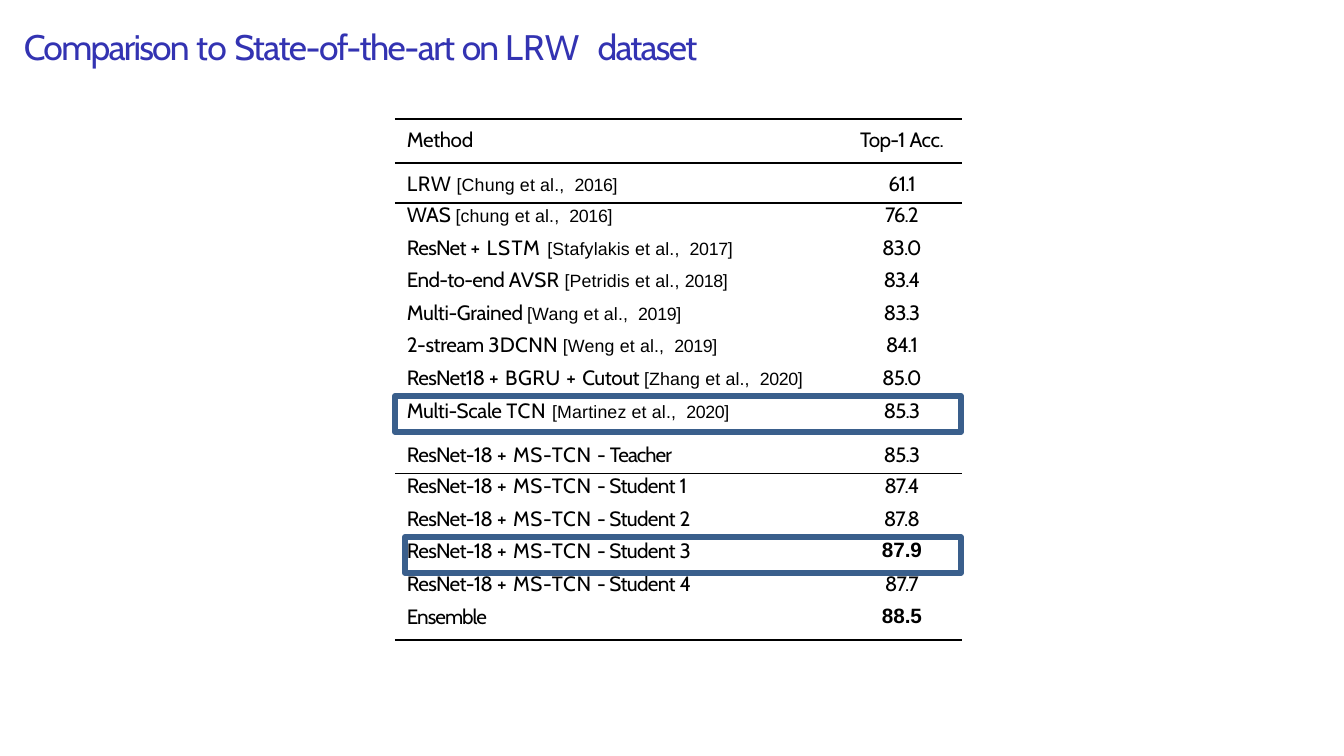
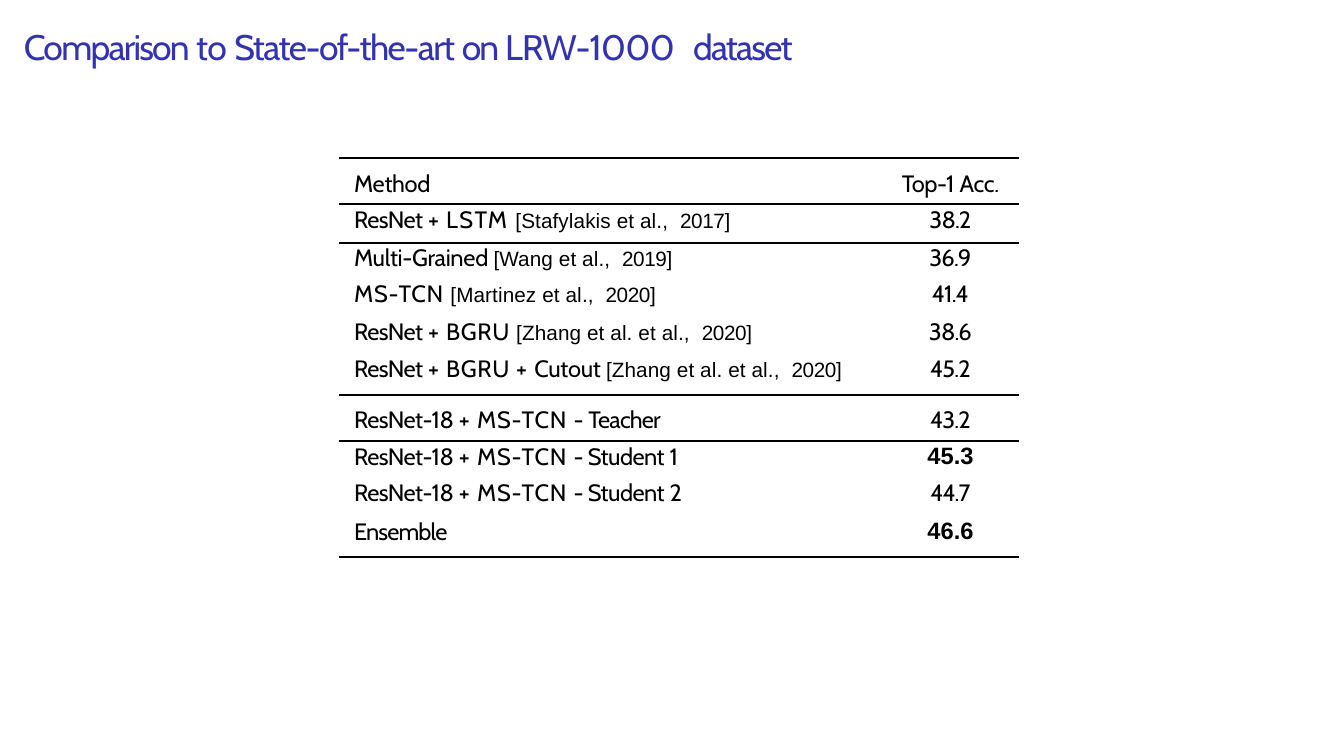
from dataclasses import dataclass

from lxml.etree import SubElement
from pptx import Presentation
from pptx.dml.color import RGBColor
from pptx.enum.shapes import MSO_SHAPE as Shape
from pptx.enum.text import PP_ALIGN as Align
from pptx.oxml.ns import qn
from pptx.util import Emu, Pt

PX = 914400 / 213
BLUE, BLACK, FRAME = "3333B2", "000000", "3A5F8C"
CABIN, ARIAL = "Cabin", "Arial"
SPACE_EM = 0.28
THIN, THICK = 0.5, 0.75

TITLE_SPC = {"Comparison": -0.6, "to": -0.2, "State-of-the-art": -0.5, "on": -0.7,
             "LRW": 0.1, "LRW-1000": -0.3, "dataset": -0.6}
WORD_SPC = {"Method": -0.1, "Acc.": -0.1, "Top-1": -0.2, "LRW": 0.2, "WAS": 0, "+": 0.3,
            "LSTM": 0.45, "AVSR": 0.1, "Multi-Grained": -0.1, "2-stream": -0.1,
            "3DCNN": 0.1, "BGRU": 0.2, "Cutout": -0.1, "Multi-Scale": -0.1, "TCN": 0.3,
            "MS-TCN": 0.25, "Teacher": -0.3, "Ensemble": -0.3}


@dataclass
class Row:
    method: str
    acc: str
    height: int
    cite: str = ""
    top: int = 0
    before: float = 0.3
    rule: float = 0
    bold: bool = False
    wide_gap: bool = True


@dataclass
class Box:
    x: int
    y: int
    w: int
    h: int


@dataclass
class Page:
    title: str
    title_w: int
    x: int
    y: int
    cols: tuple[int, int]
    indent: int
    size: int
    rows: list[Row]
    frames: list[Box]


def px(n: float) -> Emu:
    return Emu(round(n * PX))


def rgb(value: str) -> RGBColor:
    return RGBColor.from_string(value)


def add_run(p, text: str, size: float, font: str = CABIN, color: str = BLACK,
            spc: float = 0, bold: bool = False) -> None:
    r = p.add_run()
    r.text = text
    r.font.size, r.font.name, r.font.bold = Pt(size), font, bold
    r.font.color.rgb = rgb(color)
    r._r.get_or_add_rPr().set("spc", str(round(spc * 100)))


def word_spacing(word: str) -> float:
    return WORD_SPC.get(word, -0.3 if word[0].isdigit() else -0.2)


def add_words(p, text: str, size: float, trailing: bool = False) -> None:
    words = text.split()
    for i, word in enumerate(words):
        space = " " if trailing or i < len(words) - 1 else ""
        add_run(p, word + space, size, spc=word_spacing(word))


def indent_paragraph(p, indent: int) -> None:
    pPr = p._p.get_or_add_pPr()
    pPr.set("marL", str(px(indent)))
    pPr.set("indent", "0")


def add_title(s, text: str, width: int) -> None:
    tf = s.shapes.add_textbox(px(21), px(23), px(width), px(49)).text_frame
    tf.word_wrap = True
    tf.margin_left = tf.margin_right = tf.margin_bottom = 0
    tf.margin_top = px(2)
    p = tf.paragraphs[0]
    p.space_before = Pt(0.9)
    indent_paragraph(p, 3)
    *lead, dataset, last = text.split()
    for word in lead:
        add_run(p, word + " ", 12, color=BLUE, spc=TITLE_SPC[word])
    add_run(p, dataset, 12, color=BLUE, spc=TITLE_SPC[dataset])
    add_run(p, " ", 12, color=BLUE, spc=12 * SPACE_EM)
    add_run(p, last, 12, color=BLUE, spc=TITLE_SPC[last])


def set_borders(cell, above: float, below: float) -> None:
    tcPr = cell._tc.get_or_add_tcPr()
    for side, width in (("L", 0), ("R", 0), ("T", above), ("B", below)):
        ln = SubElement(tcPr, qn(f"a:ln{side}"), w=str(Pt(width)))
        if width:
            fill = SubElement(ln, qn("a:solidFill"))
            SubElement(fill, qn("a:srgbClr"), val=BLACK)
        else:
            SubElement(ln, qn("a:noFill"))


def format_cell(cell, row: Row, above: float):
    set_borders(cell, above, row.rule)
    cell.fill.background()
    cell.margin_left = cell.margin_right = cell.margin_bottom = 0
    cell.margin_top = px(row.top)
    p = cell.text_frame.paragraphs[0]
    p.space_before = Pt(row.before)
    return p


def add_cite(p, row: Row, size: float) -> None:
    authors, year = row.cite.rsplit(" ", 1)
    add_run(p, authors, size, ARIAL, spc=0.05)
    add_run(p, " ", size, ARIAL, spc=size * SPACE_EM if row.wide_gap else 0)
    add_run(p, year, size, ARIAL, spc=-0.1)


def add_results(s, page: Page) -> None:
    rows = page.rows
    table = s.shapes.add_table(len(rows), 2, px(page.x), px(page.y), px(sum(page.cols)),
                               px(sum(row.height for row in rows))).table
    table.first_row = table.horz_banding = False
    for col, width in zip(table.columns, page.cols):
        col.width = px(width)
    above = THICK
    for i, row in enumerate(rows):
        table.rows[i].height = px(row.height)
        p = format_cell(table.cell(i, 0), row, above)
        indent_paragraph(p, page.indent)
        add_words(p, row.method, page.size, trailing=bool(row.cite))
        if row.cite:
            add_cite(p, row, page.size - 1)
        p = format_cell(table.cell(i, 1), row, above)
        p.alignment = Align.CENTER
        if row.bold:
            add_run(p, row.acc, page.size, ARIAL, bold=True)
        else:
            add_words(p, row.acc, page.size)
        above = row.rule


def add_frame(s, box: Box) -> None:
    sp = s.shapes.add_shape(Shape.RECTANGLE, px(box.x), px(box.y), px(box.w), px(box.h))
    sp.shadow.inherit = False
    sp.fill.background()
    sp.line.color.rgb = rgb(FRAME)
    sp.line.width = Pt(2)


PAGES = [
    Page("Comparison to State-of-the-art on LRW dataset", 699, 395, 119, (447, 120), 12, 7, [
        Row("Method", "Top-1 Acc.", 44, top=9, before=3, rule=THICK),
        Row("LRW", "61.1", 40, "[Chung et al., 2016]", top=9, before=2.9, rule=THIN),
        Row("WAS", "76.2", 33, "[chung et al., 2016]"),
        Row("ResNet + LSTM", "83.0", 32, "[Stafylakis et al., 2017]"),
        Row("End-to-end AVSR", "83.4", 33, "[Petridis et al., 2018]", wide_gap=False),
        Row("Multi-Grained", "83.3", 32, "[Wang et al., 2019]"),
        Row("2-stream 3DCNN", "84.1", 33, "[Weng et al., 2019]"),
        Row("ResNet18 + BGRU + Cutout", "85.0", 33, "[Zhang et al., 2020]"),
        Row("Multi-Scale TCN", "85.3", 35, "[Martinez et al., 2020]", rule=THIN),
        Row("ResNet-18 + MS-TCN - Teacher", "85.3", 40, top=9, before=2.9, rule=THICK),
        Row("ResNet-18 + MS-TCN - Student 1", "87.4", 33),
        Row("ResNet-18 + MS-TCN - Student 2", "87.8", 32),
        Row("ResNet-18 + MS-TCN - Student 3", "87.9", 33, bold=True),
        Row("ResNet-18 + MS-TCN - Student 4", "87.7", 33),
        Row("Ensemble", "88.5", 36, rule=THICK, bold=True),
    ], [Box(395, 396, 566, 36), Box(405, 537, 556, 36)]),
    Page("Comparison to State-of-the-art on LRW-1000 dataset", 780, 339, 158, (543, 137), 15, 8, [
        Row("Method", "Top-1 Acc.", 46, top=11, before=3.5, rule=THICK),
        Row("ResNet + LSTM", "38.2", 39, "[Stafylakis et al., 2017]", top=2, before=1, rule=THIN),
        Row("Multi-Grained", "36.9", 37, "[Wang et al., 2019]"),
        Row("MS-TCN", "41.4", 38, "[Martinez et al., 2020]"),
        Row("ResNet + BGRU", "38.6", 37, "[Zhang et al. et al., 2020]"),
        Row("ResNet + BGRU + Cutout", "45.2", 40, "[Zhang et al. et al., 2020]", rule=THICK),
        Row("ResNet-18 + MS-TCN - Teacher", "43.2", 46, top=11, before=3.3, rule=THICK),
        Row("ResNet-18 + MS-TCN - Student 1", "45.3", 38, top=2, before=0.4, bold=True),
        Row("ResNet-18 + MS-TCN - Student 2", "44.7", 37),
        Row("Ensemble", "46.6", 41, top=2, before=0.4, rule=THICK, bold=True),
    ], []),
]


def main() -> None:
    prs = Presentation()
    prs.slide_width, prs.slide_height = px(1344), px(756)
    for page in PAGES:
        s = prs.slides.add_slide(prs.slide_layouts[6])
        add_title(s, page.title, page.title_w)
        add_results(s, page)
        for box in page.frames:
            add_frame(s, box)
    prs.save("out.pptx")


if __name__ == "__main__":
    main()
